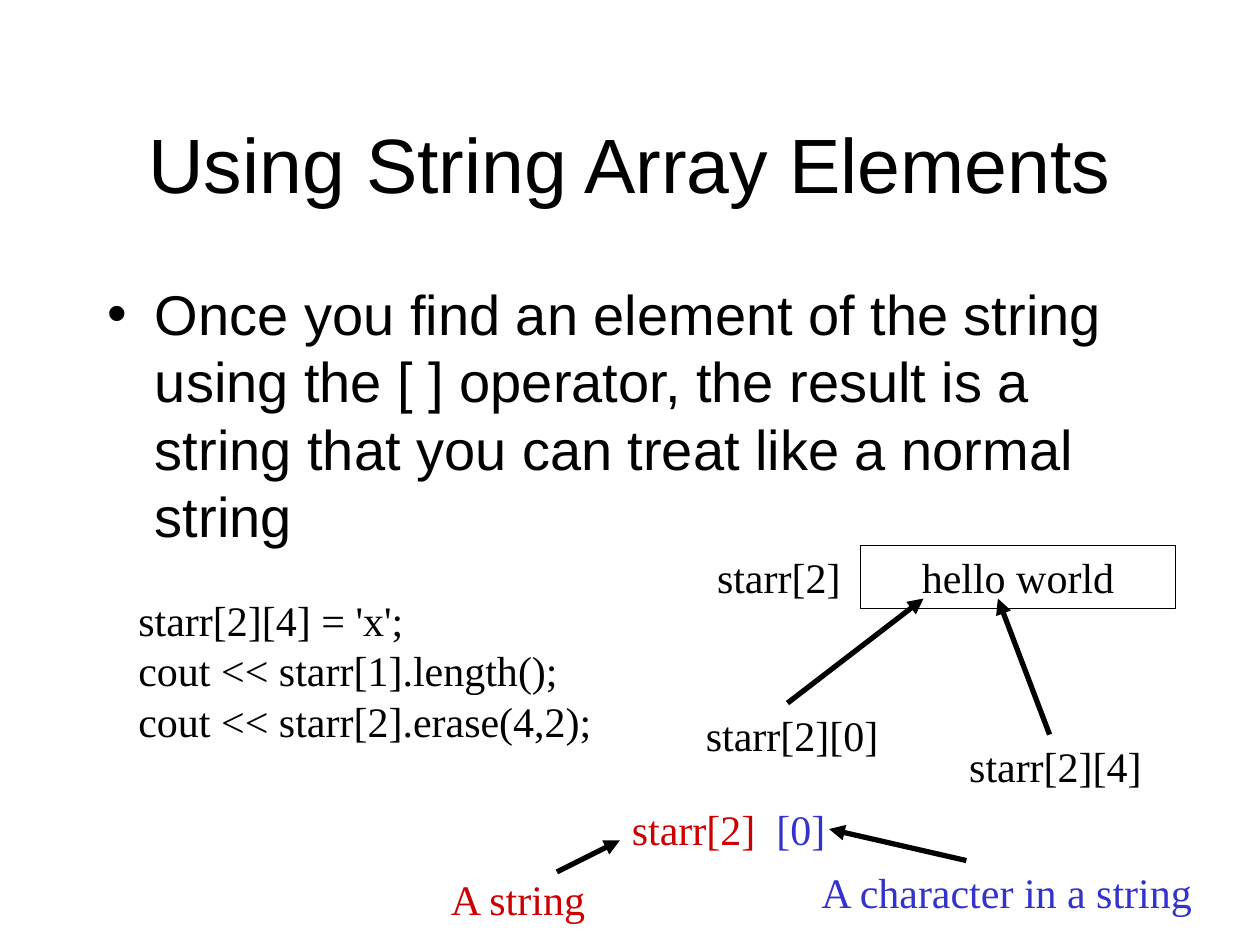
from lxml.etree import SubElement
from pptx import Presentation
from pptx.dml.color import RGBColor
from pptx.enum.shapes import MSO_CONNECTOR, MSO_SHAPE
from pptx.enum.text import MSO_ANCHOR, MSO_AUTO_SIZE, PP_ALIGN
from pptx.oxml.ns import qn
from pptx.util import Inches, Pt

BLACK = RGBColor(0x00, 0x00, 0x00)
WHITE = RGBColor(0xFF, 0xFF, 0xFF)
RED = RGBColor(0xCC, 0x00, 0x00)
BLUE = RGBColor(0x33, 0x33, 0xCC)
SANS, SERIF = "Arial", "Times New Roman"
LEFT, CENTER, RIGHT = PP_ALIGN.LEFT, PP_ALIGN.CENTER, PP_ALIGN.RIGHT

TITLE = "Using String Array Elements"
BULLET = ("Once you find an element of the string using the [ ] operator, "
          "the result is a string that you can treat like a normal string")
CODE = ["starr[2][4] = 'x';", "cout << starr[1].length();", "cout << starr[2].erase(4,2);"]
STRING_BOX = (6.83, 4.33, 2.5, 0.5)
STRING_VALUE = "hello world"

LABELS = [
    ((1, 4.67, 4.04, 1.3), LEFT, [[(line, BLACK)] for line in CODE]),
    ((5.59, 4.33, 1.18, 0.5), RIGHT, [[("starr[2]", BLACK)]]),
    ((5.5, 5.58, 1.57, 0.5), RIGHT, [[("starr[2][0]", BLACK)]]),
    ((7.59, 5.83, 1.57, 0.5), RIGHT, [[("starr[2][4]", BLACK)]]),
    ((4.85, 6.33, 1.8, 0.5), RIGHT, [[("starr[2]  ", RED), ("[0]", BLUE)]]),
    ((3.48, 6.88, 1.28, 0.5), LEFT, [[("A string", RED)]]),
    ((6.42, 6.83, 3.16, 0.5), LEFT, [[("A character in a string", BLUE)]]),
]
ARROWS = [
    (6.25, 5.58, 7.33, 4.75),
    (8.33, 5.83, 7.92, 4.75),
    (7.67, 6.83, 6.58, 6.58),
    (4.42, 6.92, 4.92, 6.67),
]


def inches(values):
    return [Inches(value) for value in values]


def write(frame, lines, font, size, alignment, anchor=MSO_ANCHOR.TOP, wrap=True):
    frame.word_wrap = wrap
    frame.auto_size = MSO_AUTO_SIZE.NONE
    frame.vertical_anchor = anchor
    for index, runs in enumerate(lines):
        paragraph = frame.add_paragraph() if index else frame.paragraphs[0]
        paragraph.alignment = alignment
        for text, color in runs:
            run = paragraph.add_run()
            run.text = text
            run.font.name = font
            run.font.size = Pt(size)
            run.font.color.rgb = color


def place(shape, box):
    shape.left, shape.top, shape.width, shape.height = inches(box)


def add_label(slide, box, alignment, lines):
    label = slide.shapes.add_textbox(*inches(box))
    write(label.text_frame, lines, SERIF, 24, alignment, wrap=False)
    label.text_frame.auto_size = MSO_AUTO_SIZE.SHAPE_TO_FIT_TEXT


def add_arrow(slide, ends):
    arrow = slide.shapes.add_connector(MSO_CONNECTOR.STRAIGHT, *inches(ends))
    arrow.line.color.rgb = BLACK
    arrow.line.width = Pt(3)
    SubElement(arrow.line._get_or_add_ln(), qn("a:tailEnd"), type="triangle")
    SubElement(arrow._element.spPr, qn("a:effectLst"))


def add_bullet(paragraph):
    paragraph.space_before = Pt(8)
    properties = paragraph._p.get_or_add_pPr()
    properties.set("marL", str(Inches(0.38)))
    properties.set("indent", str(Inches(-0.38)))
    SubElement(properties, qn("a:buFont"), typeface=SANS)
    SubElement(properties, qn("a:buChar"), char="•")


def main():
    presentation = Presentation()
    presentation.slide_width, presentation.slide_height = Inches(10), Inches(7.5)
    slide = presentation.slides.add_slide(presentation.slide_layouts[1])
    slide.background.fill.solid()
    slide.background.fill.fore_color.rgb = WHITE

    title, body = slide.shapes.title, slide.placeholders[1]
    place(title, (0.75, 0.67, 8.5, 1.25))
    write(title.text_frame, [[(TITLE, BLACK)]], SANS, 44, CENTER, MSO_ANCHOR.MIDDLE)
    place(body, (0.75, 2.17, 8.5, 4.5))
    write(body.text_frame, [[(BULLET, BLACK)]], SANS, 32, LEFT)
    add_bullet(body.text_frame.paragraphs[0])

    string_box = slide.shapes.add_shape(MSO_SHAPE.RECTANGLE, *inches(STRING_BOX))
    string_box.shadow.inherit = False
    string_box.fill.background()
    string_box.line.color.rgb = BLACK
    string_box.line.width = Pt(0.75)
    write(string_box.text_frame, [[(STRING_VALUE, BLACK)]], SERIF, 24, CENTER,
          MSO_ANCHOR.MIDDLE, wrap=False)

    for label in LABELS:
        add_label(slide, *label)
    for ends in ARROWS:
        add_arrow(slide, ends)
    presentation.save("out.pptx")


if __name__ == "__main__":
    main()
